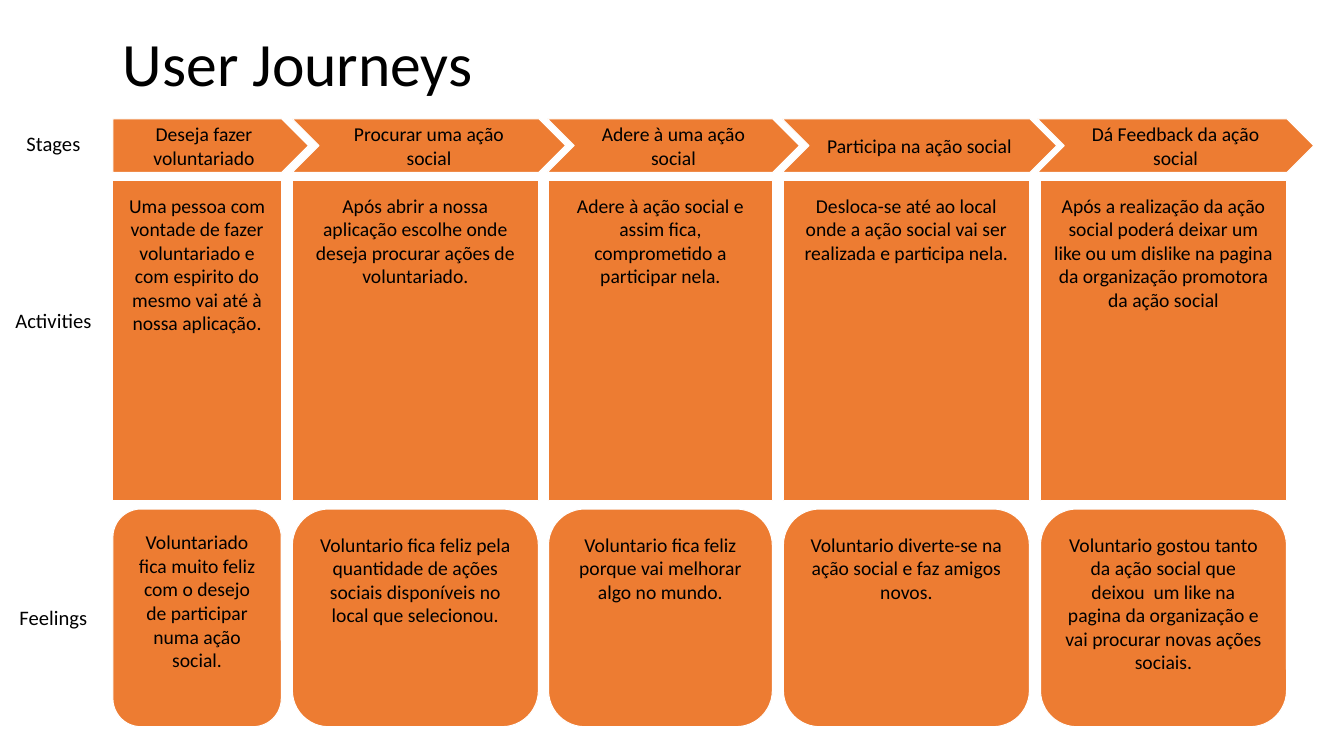
from dataclasses import dataclass

from pptx import Presentation
from pptx.dml.color import RGBColor
from pptx.enum.shapes import MSO_SHAPE
from pptx.enum.text import MSO_ANCHOR, PP_ALIGN
from pptx.util import Inches, Pt

PLATE, CHEVRON = MSO_SHAPE.PENTAGON, MSO_SHAPE.CHEVRON
RECT, ROUND = MSO_SHAPE.RECTANGLE, MSO_SHAPE.ROUNDED_RECTANGLE
TOP, MIDDLE, BOTTOM = MSO_ANCHOR.TOP, MSO_ANCHOR.MIDDLE, MSO_ANCHOR.BOTTOM
CENTER = PP_ALIGN.CENTER


@dataclass(frozen=True)
class Theme:
    """Colours, type sizes and the inset shared by all parts."""
    fill: RGBColor = RGBColor(0xED, 0x7C, 0x32)
    edge: RGBColor = RGBColor(0xFF, 0xFF, 0xFF)
    ink: RGBColor = RGBColor(0, 0, 0)
    font: str = "Calibri"
    title: float = 44
    label: float = 14.7
    body: float = 14
    inset: float = 0.13


THEME = Theme()
POINT = 0.27
STAGE, ACTIVITY, FEELING = (1.18, 0.53), (1.79, 3.18), (5.05, 2.16)

LABELS = [("Stages", 1.16), ("Activities", 2.91), ("Feelings", 5.86)]

STEPS = [
    (1.12, 1.67, 1.12, "Deseja fazer voluntariado",
     "Uma pessoa com vontade de fazer voluntariado e com espirito do mesmo "
     "vai até à nossa aplicação.",
     "Voluntariado fica muito feliz com o desejo de participar numa ação social."),
    (2.90, 2.44, 2.90, "Procurar uma ação social",
     "Após abrir a nossa aplicação escolhe onde deseja procurar ações de "
     "voluntariado.",
     "Voluntario fica feliz pela quantidade de ações sociais disponíveis no "
     "local que selecionou."),
    (5.44, 2.22, 5.43, "Adere à uma ação social",
     "Adere à ação social e assim fica, comprometido a participar nela.",
     "Voluntario fica feliz porque vai melhorar algo no mundo."),
    (7.77, 2.44, 7.76, "Participa na ação social",
     "Desloca-se até ao local onde a ação social vai ser realizada e "
     "participa nela.",
     "Voluntario diverte-se na ação social e faz amigos novos."),
    (10.32, 2.44, 10.29, "Dá Feedback da ação social",
     "Após a realização da ação social poderá deixar um like ou um dislike na "
     "pagina da organização promotora da ação social",
     "Voluntario gostou tanto da ação social que deixou  um like na pagina da "
     "organização e vai procurar novas ações sociais."),
]


def write(shape, text, size, anchor):
    """Put centred text in a shape."""
    frame = shape.text_frame
    frame.word_wrap = True
    frame.vertical_anchor = anchor
    frame.margin_left = frame.margin_right = Inches(THEME.inset)
    frame.margin_top = frame.margin_bottom = Inches(THEME.inset)
    line = frame.paragraphs[0]
    line.text = text
    line.alignment = CENTER
    line.font.name = THEME.font
    line.font.size = Pt(size)
    line.font.color.rgb = THEME.ink


def add_text(slide, box, text, size, anchor):
    """Add a text box."""
    shape = slide.shapes.add_textbox(*map(Inches, box))
    write(shape, text, size, anchor)


def add_card(slide, kind, box, text, anchor=TOP):
    """Add a filled shape with text."""
    card = slide.shapes.add_shape(kind, *map(Inches, box))
    card.shadow.inherit = False
    card.fill.solid()
    card.fill.fore_color.rgb = THEME.fill
    card.line.color.rgb = THEME.edge
    card.line.width = Pt(0.75)
    write(card, text, THEME.body, anchor)


def add_labels(slide, left, width):
    """Name the rows down the left edge."""
    for text, top in LABELS:
        add_text(slide, (left, top, width, 0.53), text, THEME.label, MIDDLE)


def add_step(slide, kind, left, width, start, stage, deed, mood):
    """Draw one column: stage arrow, activity and feeling."""
    span = left + width + POINT - start
    add_card(slide, kind, (start, STAGE[0], span, STAGE[1]), stage, MIDDLE)
    for form, (top, height), text in ((RECT, ACTIVITY, deed),
                                      (ROUND, FEELING, mood)):
        add_card(slide, form, (left, top, width, height), text)


def main():
    """Build and save the slide."""
    deck = Presentation()
    deck.slide_width, deck.slide_height = Inches(13.33), Inches(7.5)
    slide = deck.slides.add_slide(deck.slide_layouts[6])
    add_text(slide, (0.57, 0.06, 4.77, 1.05), "User Journeys",
             THEME.title, BOTTOM)
    add_labels(slide, 0, 1.06)
    for index, step in enumerate(STEPS):
        add_step(slide, CHEVRON if index else PLATE, *step)
    deck.save("out.pptx")


if __name__ == "__main__":
    main()
